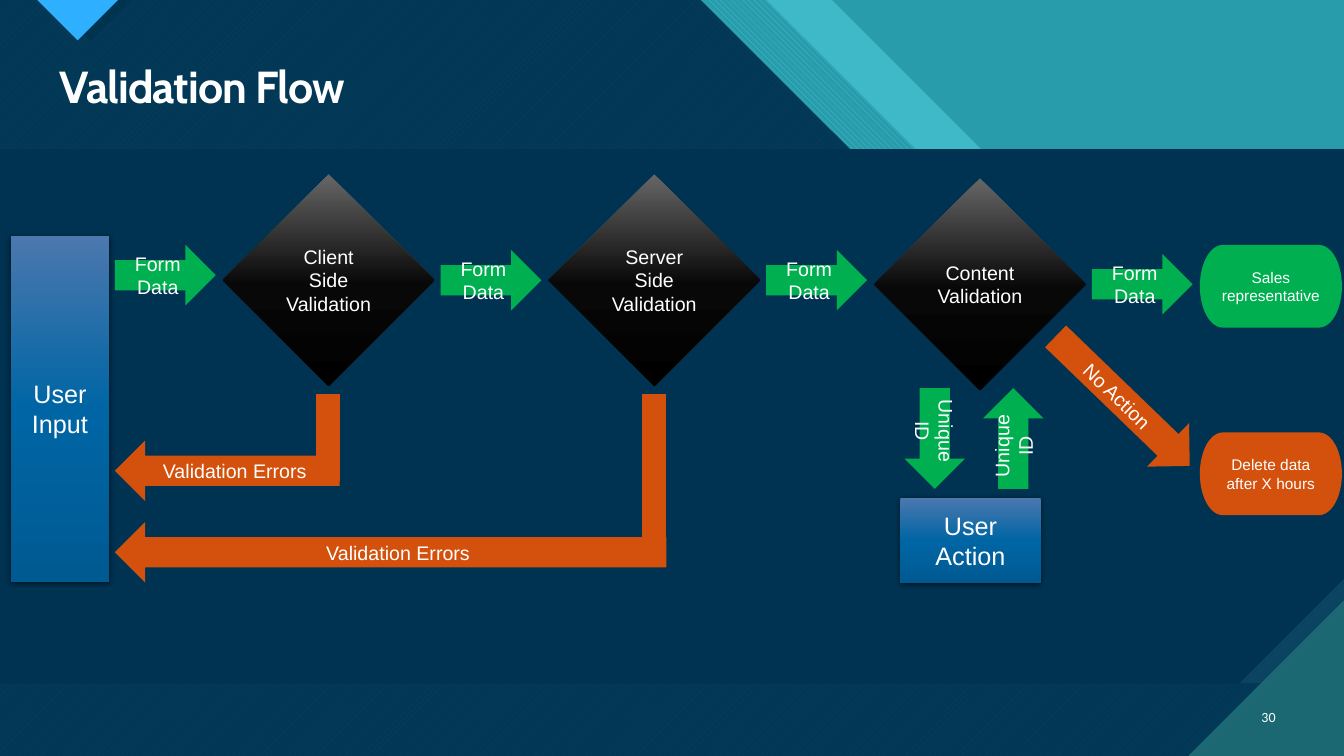
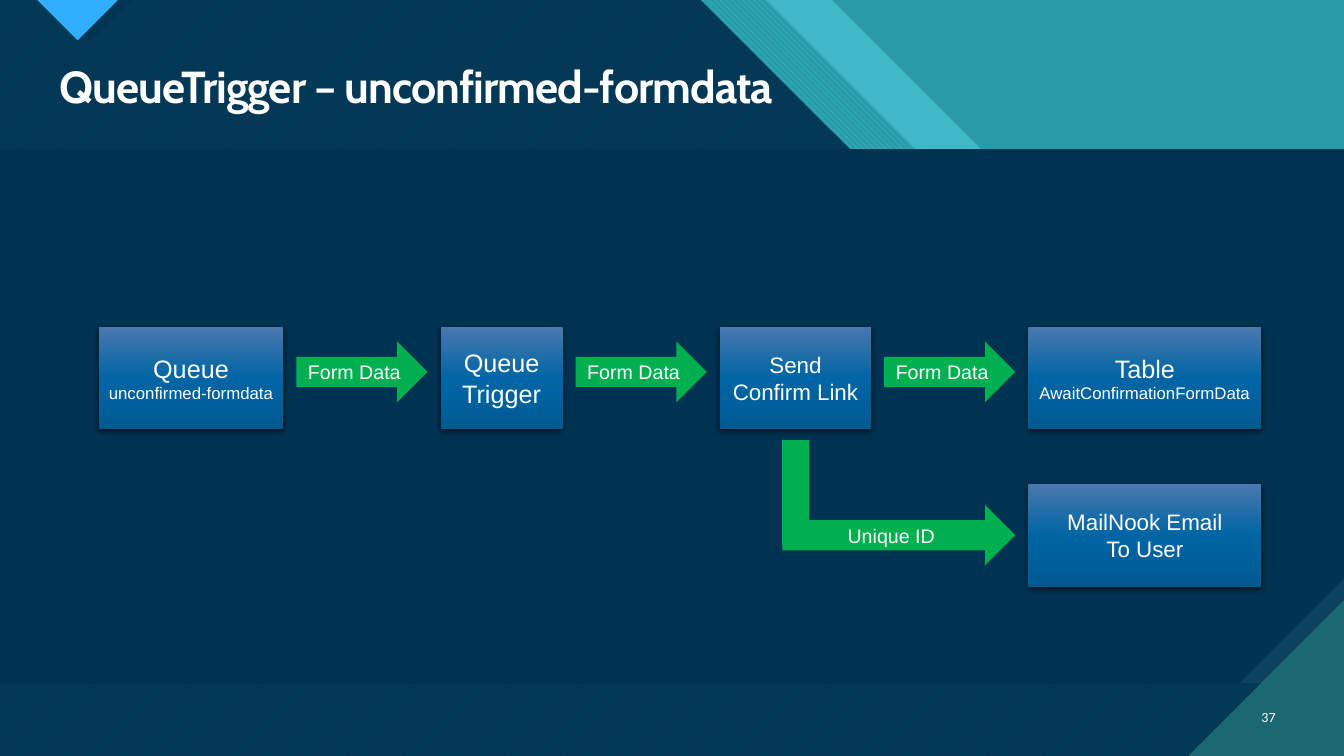
import dataclasses

import pptx
import pptx.dml.color
import pptx.enum.dml
import pptx.enum.shapes
import pptx.enum.text
import pptx.oxml
import pptx.oxml.ns
import pptx.util

PX = 9144
WIDE, HIGH = 1333, 750
KIND = pptx.enum.shapes.MSO_SHAPE
ALIGN = pptx.enum.text.PP_ALIGN
MIDDLE = pptx.enum.text.MSO_ANCHOR.MIDDLE
WEAVE = pptx.enum.dml.MSO_PATTERN


@dataclasses.dataclass(frozen=True)
class Theme:
    white: str = "FFFFFF"
    navy: str = "003352"
    slate: str = "0C4360"
    teal: str = "299CAB"
    aqua: str = "47C3D3"
    pine: str = "1B6872"
    sky: str = "2FAFFF"
    green: str = "00B050"
    rust: str = "D3510C"
    steel: tuple = ((0, "4B78AE"), (50, "0065A4"), (100, "005A92"))
    coal: tuple = ((0, "666666"), (52, "080808"), (100, "000000"))
    body: str = "Arial"
    head: str = "Cabin"
    foot: str = "Calibri"
    title: int = 32
    large: int = 18
    medium: int = 16
    label: int = 14
    small: int = 12
    end: int = 11
    page: int = 10


T = Theme()


def px(*sizes):
    return [pptx.util.Emu(size * PX) for size in sizes]


def tint(color):
    return pptx.dml.color.RGBColor.from_string(color)


def node(text):
    space = pptx.oxml.ns.nsdecls("a")
    return pptx.oxml.parse_xml(text.replace(">", f" {space}>", 1))


def style(para, size, face=T.body, align=ALIGN.CENTER):
    para.alignment = align
    para.font.size = pptx.util.Pt(size)
    para.font.name = face
    para.font.color.rgb = tint(T.white)


def plain(shape):
    shape.shadow.inherit = False
    shape.line.fill.background()


def paint(shape, color, alpha=100):
    shape.fill.solid()
    shape.fill.fore_color.rgb = tint(color)
    if alpha < 100:
        mark = shape.element.spPr.find(".//" + pptx.oxml.ns.qn("a:srgbClr"))
        mark.append(node(f'<a:alpha val="{alpha * 1000}"></a:alpha>'))


def weave(shape, kind, fore, back):
    shape.fill.patterned()
    shape.fill.pattern = kind
    shape.fill.fore_color.rgb = tint(fore)
    shape.fill.back_color.rgb = tint(back)


def shade(shape, stops):
    marks = "".join(
        f'<a:gs pos="{spot * 1000}"><a:srgbClr val="{color}"/></a:gs>'
        for spot, color in stops)
    shape.element.spPr.insert(2, node(
        f'<a:gradFill rotWithShape="1"><a:gsLst>{marks}</a:gsLst>'
        '<a:lin ang="5400000" scaled="0"/></a:gradFill>'))


def lift(shape):
    glow = shape.element.spPr.find(pptx.oxml.ns.qn("a:effectLst"))
    glow.append(node(
        '<a:outerShdw blurRad="57150" dist="19050" dir="5400000" algn="ctr" '
        'rotWithShape="0"><a:srgbClr val="000000"><a:alpha val="63000"/>'
        '</a:srgbClr></a:outerShdw>'))


def block(slide, kind, box, fill, lines=()):
    shape = slide.shapes.add_shape(kind, *px(*box))
    plain(shape)
    if isinstance(fill, tuple):
        shade(shape, fill)
    else:
        paint(shape, fill)
    frame = shape.text_frame
    frame.word_wrap = True
    frame.vertical_anchor = MIDDLE
    if len(lines) > 1:
        frame.margin_left = frame.margin_right = px(4)[0]
    for spot, (text, size) in enumerate(lines):
        para = frame.add_paragraph() if spot else frame.paragraphs[0]
        para.text = text
        style(para, size)
    return shape


def step(slide, box, *lines):
    lift(block(slide, KIND.FLOWCHART_PROCESS, box, T.steel, lines))


def arrow(slide, box, text, color=T.green, turn=0, back=False):
    shape = block(slide, KIND.RIGHT_ARROW, box, color, [(text, T.label)])
    shape.rotation = turn
    if back:
        shape.element.spPr.xfrm.set("flipH", "1")


def elbow(slide, box, text, color, thick, back=False):
    left, top, wide, high = box
    edge = left + wide - thick if back else left
    block(slide, KIND.FLOWCHART_PROCESS, (edge, top, thick, high - 20), color)
    arrow(slide, (left, top + high - 60, wide, 60), text, color, back=back)


def facet(slide, *points):
    pen = slide.shapes.build_freeform(*points[0], scale=PX)
    pen.add_line_segments(points[1:], close=True)
    shape = pen.convert_to_shape()
    plain(shape)
    return shape


def sweep(slide, top, shelf, right):
    bend = top + 297
    return facet(slide, (0, 0), (top, 0), (bend, 297), (shelf, 297),
                 (WIDE, 297 + WIDE - shelf), (right, HIGH), (0, HIGH))


def backdrop(slide, layout):
    layout.background.fill.solid()
    layout.background.fill.fore_color.rgb = tint(T.teal)
    start = len(slide.shapes)
    paint(sweep(slide, 825, 1234, WIDE), T.aqua, 74)
    weave(sweep(slide, 760, 1184, WIDE), WEAVE.WIDE_DOWNWARD_DIAGONAL,
          T.aqua, T.teal)
    weave(sweep(slide, 695, 1118, WIDE), WEAVE.WIDE_UPWARD_DIAGONAL,
          T.aqua, T.pine)
    paint(sweep(slide, 695, 1118, WIDE), T.navy, 90)
    paint(facet(slide, (48, 0), (131, 0), (90, 41)), T.navy)
    weave(facet(slide, (37, 0), (117, 0), (77, 40)),
          WEAVE.DARK_HORIZONTAL, T.sky, T.pine)
    top, base, cut = 148, 678, 104
    weave(facet(slide, (0, top), (WIDE, top), (WIDE, base), (0, base)),
          WEAVE.DARK_VERTICAL, T.slate, T.pine)
    paint(facet(slide, (0, top), (WIDE, top), (WIDE, base - cut),
                (WIDE - cut, base), (0, base)), T.navy)
    weave(facet(slide, (WIDE - 154, HIGH), (WIDE, HIGH), (WIDE, HIGH - 154)),
          WEAVE.DARK_HORIZONTAL, T.pine, T.aqua)
    for index, shape in enumerate(list(slide.shapes)[start:]):
        shape.element.nvSpPr.cNvPr.set("id", str(50 + index))
        layout.shapes.element.append(shape.element)


def header(slide, text, number):
    title = slide.shapes.title
    title.left, title.top, title.width, title.height = px(49, 59, 1226, 59)
    frame = title.text_frame
    frame.text = text
    frame.auto_size = pptx.enum.text.MSO_AUTO_SIZE.NONE
    frame.vertical_anchor = MIDDLE
    para = frame.paragraphs[0]
    style(para, T.title, T.head, ALIGN.LEFT)
    para.font.bold = True
    para.line_spacing = 0.9
    for mark in title.element.iter(pptx.oxml.ns.qn("a:defRPr")):
        mark.set("spc", "-70")
    page = slide.shapes.add_textbox(*px(1231, 691, 44, 40)).text_frame
    page.word_wrap = True
    page.vertical_anchor = MIDDLE
    page.text = number
    style(page.paragraphs[0], T.page, T.foot, ALIGN.RIGHT)


def checks(slide, left, top):
    pitch = 323
    names = ("Client Side Validation", "Server Side Validation",
             "Content Validation")
    for index, (name, drop) in enumerate(zip(names, (0, 0, 4))):
        block(slide, KIND.DIAMOND,
              (left + 210 + index * pitch, top + drop, 210, 210),
              T.coal, [(name, T.label)])
    for index, drop in enumerate((70, 75, 75, 79)):
        arrow(slide, (left + 103 + index * pitch, top + drop, 100, 60),
              "Form Data")
    step(slide, (left, top + 61, 97, 343), ("User Input", T.large))
    for wide, high in ((223, 106), (547, 187)):
        elbow(slide, (left + 103, top + 218, wide, high),
              "Validation Errors", T.rust, 24, True)


def results(slide, left, top):
    step(slide, (left, top + 317, 139, 84), ("User Action", T.large))
    for shift, turn in ((62, 270), (-16, 90)):
        arrow(slide, (left + shift, top + 228, 100, 60), "Unique ID",
              turn=turn)
    arrow(slide, (left + 128, top + 191, 185, 60), "No Action", T.rust, 44)
    ends = (("Sales representative", T.green, 66),
            ("Delete data after X hours", T.rust, 252))
    for name, color, drop in ends:
        block(slide, KIND.FLOWCHART_TERMINATOR,
              (left + 297, top + drop, 141, 82), color, [(name, T.end)])


def queue(slide, left, top):
    high, gap, reach = 102, 13, 130
    steps = (
        (183, (("Queue", T.large), ("unconfirmed-formdata", T.small))),
        (121, (("Queue Trigger", T.large),)),
        (150, (("Send Confirm Link", T.medium),)),
        (231, (("Table", T.large), ("AwaitConfirmationFormData", T.small))),
    )
    for index, (wide, lines) in enumerate(steps):
        if index:
            arrow(slide, (left + gap, top + 15, reach, 60), "Form Data")
            left += reach + 2 * gap
        step(slide, (left, top, wide, high), *lines)
        left += wide
    final = left - 231
    step(slide, (final, top + 156, 231, high),
         ("MailNook Email", T.medium), ("To User", T.medium))
    elbow(slide, (final - gap - 231, top + 113, 231, 124),
          "Unique ID", T.green, 26)


def main():
    deck = pptx.Presentation()
    deck.slide_width, deck.slide_height = px(WIDE, HIGH)
    layout = deck.slide_layouts[5]
    first = deck.slides.add_slide(layout)
    backdrop(first, layout)
    header(first, "Validation Flow", "30")
    checks(first, 11, 173)
    results(first, 893, 177)
    second = deck.slides.add_slide(layout)
    header(second, "QueueTrigger – unconfirmed-formdata", "37")
    queue(second, 98, 324)
    deck.save("out.pptx")


if __name__ == "__main__":
    main()
